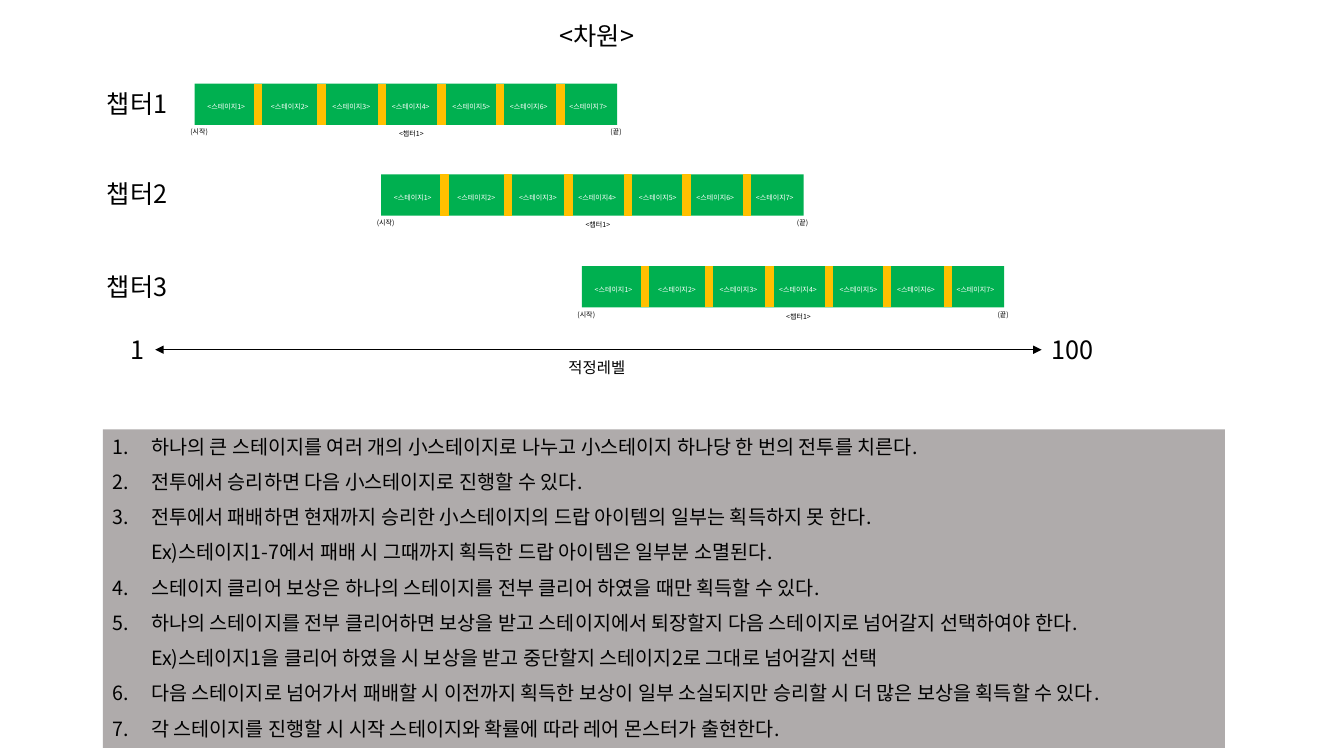
from pptx import Presentation, util as u
from pptx.dml.color import RGBColor
from pptx.enum import shapes, text
from pptx.oxml.ns import qn
from lxml import etree

FONT = "Noto Sans CJK KR"
BLACK, WHITE, GREEN, AMBER, GREY = "000000", "FFFFFF", "00B050", "FFC000", "AFABAB"
CENTER, LEFT = text.PP_ALIGN.CENTER, text.PP_ALIGN.LEFT


def rgb(value):
    return RGBColor.from_string(value)


def inches(*values):
    return [u.Inches(v) for v in values]


class SlideBuilder:
    def __init__(self, s, font):
        self.s = s
        self.font = font
        self.canvas = s.shapes

    def group(self):
        self.canvas = self.s.shapes.add_group_shape().shapes

    def ungroup(self):
        self.canvas = self.s.shapes

    def run(self, p, words, size, color=BLACK):
        r = p.add_run()
        r.text = words
        r.font.size = u.Pt(size)
        r.font.name = self.font
        r.font.color.rgb = rgb(color)
        etree.SubElement(r.font._element, qn("a:ea"), typeface=self.font)

    def place(self, sp, x, y, w, h):
        sp.left, sp.top, sp.width, sp.height = inches(x, y, w, h)

    def title(self, words, box, size):
        sp = self.s.shapes.title
        self.place(sp, *box)
        tf = sp.text_frame
        tf.auto_size = text.MSO_AUTO_SIZE.NONE
        tf.vertical_anchor = text.MSO_ANCHOR.TOP
        p = tf.paragraphs[0]
        p.alignment = CENTER
        p.line_spacing = 1.0
        self.run(p, words, size)

    def numbered(self, items, box, size, fill):
        sp = self.s.placeholders[1]
        self.place(sp, *box)
        sp.fill.solid()
        sp.fill.fore_color.rgb = rgb(fill)
        tf = sp.text_frame
        tf.auto_size = text.MSO_AUTO_SIZE.NONE
        tf.vertical_anchor = text.MSO_ANCHOR.TOP
        for i, lines in enumerate(items):
            p = tf.add_paragraph() if i else tf.paragraphs[0]
            p.line_spacing = 1.5 if i else 1.0
            p.space_before = u.Pt(0)
            pPr = p._p.get_or_add_pPr()
            pPr.set("marL", str(u.Inches(0.38)))
            pPr.set("indent", str(u.Inches(-0.38)))
            etree.SubElement(pPr, qn("a:buFont"), typeface="+mj-lt")
            etree.SubElement(pPr, qn("a:buAutoNum"), type="arabicPeriod")
            for j, line in enumerate(lines):
                if j:
                    p.add_line_break()
                self.run(p, line, size)

    def label(self, words, box, size, color=BLACK, align=CENTER):
        sp = self.canvas.add_textbox(*inches(*box))
        tf = sp.text_frame
        tf.word_wrap = True
        p = tf.paragraphs[0]
        p.alignment = align
        self.run(p, words, size, color)
        return sp

    def bar(self, box, fill):
        sp = self.canvas.add_shape(shapes.MSO_SHAPE.RECTANGLE, *inches(*box))
        sp.shadow.inherit = False
        sp.fill.solid()
        sp.fill.fore_color.rgb = rgb(fill)
        sp.line.fill.background()

    def line(self, x1, y1, x2, y2, color, width):
        c = self.canvas.add_connector(shapes.MSO_CONNECTOR.STRAIGHT, *inches(x1, y1, x2, y2))
        c.line.color.rgb = rgb(color)
        c.line.width = u.Pt(width)
        etree.SubElement(c._element.spPr, qn("a:effectLst"))
        return c

    def double_arrow(self, start, end, y, color, width):
        x1, x2 = (u.Length(v).inches for v in (start.left + start.width, end.left))
        c = self.line(x1, y, x2, y, color, width)
        ln = c.line._get_or_add_ln()
        for tag in ("a:headEnd", "a:tailEnd"):
            etree.SubElement(ln, qn(tag), type="triangle")
        c.begin_connect(start, 3)
        c.end_connect(end, 1)


# Content
RULES = [
    ["하나의 큰 스테이지를 여러 개의 小스테이지로 나누고 小스테이지 하나당 한 번의 전투를 치른다."],
    ["전투에서 승리하면 다음 小스테이지로 진행할 수 있다."],
    ["전투에서 패배하면 현재까지 승리한 小스테이지의 드랍 아이템의 일부는 획득하지 못 한다.",
     "Ex)스테이지1-7에서 패배 시 그때까지 획득한 드랍 아이템은 일부분 소멸된다."],
    ["스테이지 클리어 보상은 하나의 스테이지를 전부 클리어 하였을 때만 획득할 수 있다."],
    ["하나의 스테이지를 전부 클리어하면 보상을 받고 스테이지에서 퇴장할지 다음 스테이지로 넘어갈지 선택하여야 한다.",
     "Ex)스테이지1을 클리어 하였을 시 보상을 받고 중단할지 스테이지2로 그대로 넘어갈지 선택"],
    ["다음 스테이지로 넘어가서 패배할 시 이전까지 획득한 보상이 일부 소실되지만 승리할 시 더 많은 보상을 획득할 수 있다."],
    ["각 스테이지를 진행할 시 시작 스테이지와 확률에 따라 레어 몬스터가 출현한다."],
]
CHAPTERS = [(1.93, 0.83, 0.83), (3.78, 1.73, 1.72), (5.77, 2.64, 2.64)]  # bar x, bar y, name y
DIVIDERS = [0.63, 1.26, 1.86, 2.45, 3.03, 3.63]
STAGES = [0, 0.63, 1.24, 1.83, 2.43, 3.0, 3.59]
BAR_W, BAR_H = 4.19, 0.41


def chapter(b, x, y):
    b.group()
    b.bar((x, y, BAR_W, BAR_H), GREEN)
    for dx in DIVIDERS:
        b.line(x + dx, y, x + dx, y + BAR_H, AMBER, 6)
    b.label("(시작)", (x - 0.16, y + 0.39, 0.41, 0.19), 5)
    b.label("(끝)", (x + 4.01, y + 0.39, 0.34, 0.19), 5)
    b.label("<챕터1>", (x + 1.81, y + 0.41, 0.68, 0.19), 5)
    for n, dx in enumerate(STAGES, 1):
        b.label(f"<스테이지{n}>", (x + dx, y + 0.14, 0.63, 0.19), 5, WHITE)
    b.ungroup()


def main():
    prs = Presentation()
    prs.slide_width, prs.slide_height = inches(13.33, 7.5)
    b = SlideBuilder(prs.slides.add_slide(prs.slide_layouts[1]), FONT)

    # Title and rules
    b.title("<차원>", (5.24, 0.15, 1.36, 0.4), 18)
    b.numbered(RULES, (1.02, 4.26, 11.13, 3.16), 14, GREY)

    # Chapter rows
    for n, (x, y, name_y) in enumerate(CHAPTERS, 1):
        chapter(b, x, y)
        b.label(f"챕터{n}", (0.89, name_y, 0.94, 0.4), 18)

    # Level axis
    low = b.label("1", (1.2, 3.27, 0.34, 0.4), 18, align=LEFT)
    high = b.label("100", (10.33, 3.27, 0.76, 0.4), 18, align=LEFT)
    b.double_arrow(low, high, 3.47, BLACK, 0.5)
    b.label("적정레벨", (5.31, 3.5, 1.22, 0.29), 11)

    prs.save("out.pptx")


if __name__ == "__main__":
    main()
